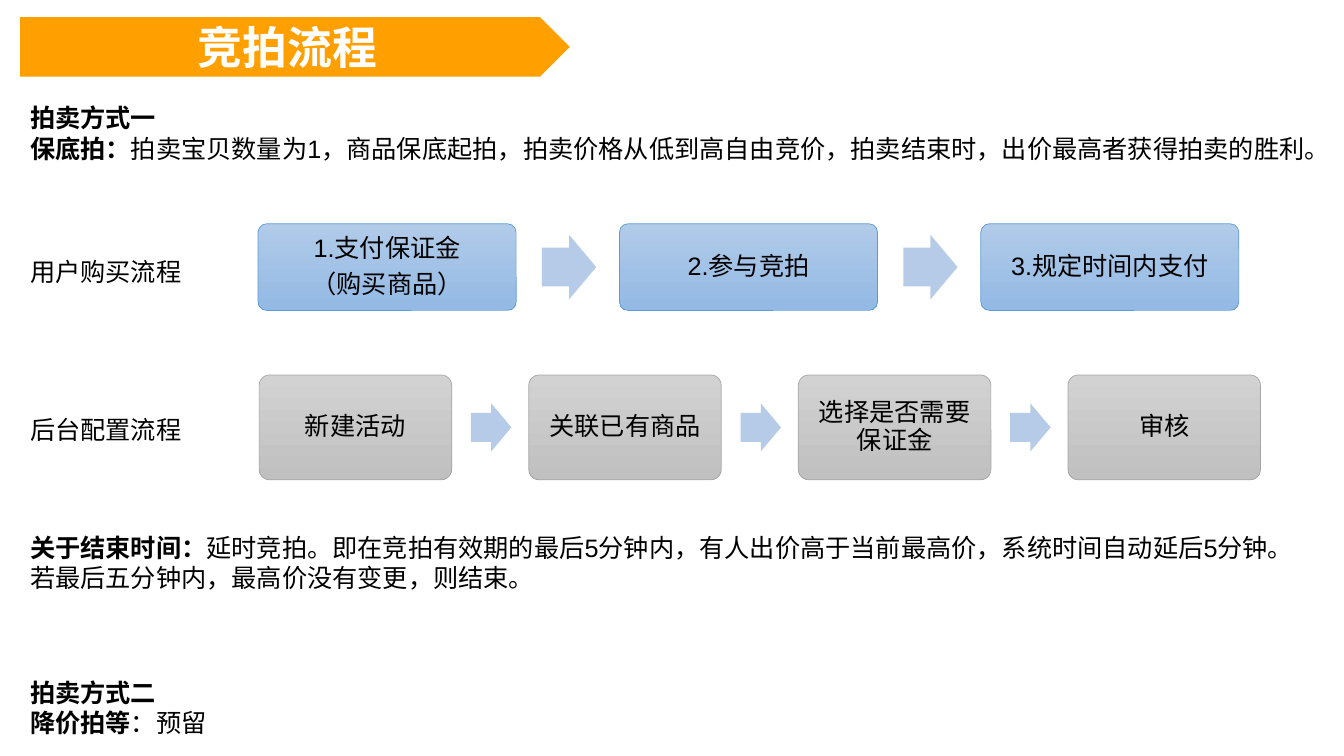
"""Build the auction process slide with two step flows and their rules."""
from pptx import Presentation
from pptx.dml.color import RGBColor
from pptx.enum.shapes import MSO_SHAPE
from pptx.enum.text import MSO_ANCHOR, MSO_AUTO_SIZE, PP_ALIGN
from pptx.util import Inches, Pt

BANNER = "竞拍流程"
LEFT = 0.2
NOTES = [
    {"top": 0.97, "width": 12.98, "height": 0.71, "lines": [
        [("拍卖方式一", True)],
        [("保底拍：", True),
         ("拍卖宝贝数量为1，商品保底起拍，拍卖价格从低到高自由竞价，"
          "拍卖结束时，出价最高者获得拍卖的胜利。", False)]]},
    {"top": 5.23, "width": 12.7, "height": 0.71, "lines": [
        [("关于结束时间：", True),
         ("延时竞拍。即在竞拍有效期的最后5分钟内，有人出价高于当前最高价，"
          "系统时间自动延后5分钟。若最后五分钟内，最高价没有变更，则结束。", False)]]},
    {"top": 6.67, "width": 5.4, "height": 0.71, "lines": [
        [("拍卖方式二", True)],
        [("降价拍等", True), ("：预留", False)]]},
]
FLOWS = [
    {"label": "用户购买流程", "label_top": 2.49,
     "steps": [["1.支付保证金", "（购买商品）"], ["2.参与竞拍"], ["3.规定时间内支付"]],
     "left": 2.56, "top": 2.22, "width": 2.56, "height": 0.86,
     "shades": ("B1CBE9", "93B9E4"), "edge": "5B9BD5", "font": "Arial"},
    {"label": "后台配置流程", "label_top": 4.06,
     "steps": [["新建活动"], ["关联已有商品"], ["选择是否需要保证金"], ["审核"]],
     "left": 2.57, "top": 3.72, "width": 1.91, "height": 1.04,
     "shades": ("D2D2D2", "C0C0C0"), "edge": "A5A5A5", "font": "Calibri"},
]
ARROW_COLOR = "B5CBE7"
PITCH, ARROW_GAP, ARROW_WIDTH, ARROW_HEIGHT = 1.4, 0.1, 0.21, 0.25

BODY = {"size": Pt(18), "name": "Arial"}
HEADLINE = {"size": Pt(32), "name": "Arial"}
CENTERED = {"alignment": PP_ALIGN.CENTER}
STEP_LINE = {"alignment": PP_ALIGN.CENTER, "line_spacing": 0.9, "space_after": Pt(6.3)}
MIDDLE = {"word_wrap": True, "vertical_anchor": MSO_ANCHOR.MIDDLE}
STEP_FRAME = {**MIDDLE, **{f"margin_{side}": Inches(0.07)
                           for side in ("left", "right", "top", "bottom")}}
NOTE_FRAME = {"word_wrap": True, "auto_size": MSO_AUTO_SIZE.SHAPE_TO_FIT_TEXT}
LABEL_FRAME = {**NOTE_FRAME, "word_wrap": False}


def color(hex_code):
    return RGBColor.from_string(hex_code)


def apply(target, formats):
    for attribute, value in formats.items():
        setattr(target, attribute, value)


def write(frame, lines, frame_format, line_format, font_format, ink="000000"):
    apply(frame, frame_format)
    for index, pieces in enumerate(lines):
        line = frame.add_paragraph() if index else frame.paragraphs[0]
        apply(line, line_format)
        for words, bold in pieces:
            run = line.add_run()
            run.text = words
            apply(run.font, {**font_format, "bold": bold})
            run.font.color.rgb = color(ink)


def add_block(slide, preset, box, fill=None):
    block = slide.shapes.add_shape(preset, *map(Inches, box))
    block.shadow.inherit = False
    block.line.fill.background()
    if fill:
        block.fill.solid()
        block.fill.fore_color.rgb = color(fill)
    return block


def add_note(slide, box, lines, frame_format):
    note = slide.shapes.add_textbox(*map(Inches, box))
    write(note.text_frame, lines, frame_format, {}, BODY)


def add_step(slide, flow, left, lines):
    step = add_block(slide, MSO_SHAPE.ROUNDED_RECTANGLE,
                     (left, flow["top"], flow["width"], flow["height"]))
    step.adjustments[0] = 0.1
    step.fill.gradient()
    step.fill.gradient_angle = 270
    for stop, shade in zip(step.fill.gradient_stops, flow["shades"]):
        stop.color.rgb = color(shade)
    step.line.color.rgb = color(flow["edge"])
    step.line.width = Pt(0.5)
    write(step.text_frame, [[(line, False)] for line in lines],
          STEP_FRAME, STEP_LINE, {**BODY, "name": flow["font"]})


def add_flow(slide, flow):
    add_note(slide, (LEFT, flow["label_top"], 1.72, 0.4),
             [[(flow["label"], False)]], LABEL_FRAME)
    width = flow["width"]
    arrow_height = ARROW_HEIGHT * width
    arrow_top = flow["top"] + (flow["height"] - arrow_height) / 2
    for index, lines in enumerate(flow["steps"]):
        left = flow["left"] + index * PITCH * width
        add_step(slide, flow, left, lines)
        if index < len(flow["steps"]) - 1:
            arrow = add_block(slide, MSO_SHAPE.RIGHT_ARROW,
                              (left + (1 + ARROW_GAP) * width, arrow_top,
                               ARROW_WIDTH * width, arrow_height), ARROW_COLOR)
            arrow.adjustments[0] = 0.6


def main():
    deck = Presentation()
    deck.slide_width, deck.slide_height = Inches(13.33), Inches(7.5)
    slide = deck.slides.add_slide(deck.slide_layouts[6])
    banner = add_block(slide, MSO_SHAPE.PENTAGON, (LEFT, 0.17, 5.45, 0.59), "FFA000")
    write(banner.text_frame, [[(BANNER, True)]], MIDDLE, CENTERED, HEADLINE, "FFFFFF")
    for note in NOTES:
        add_note(slide, (LEFT, note["top"], note["width"], note["height"]),
                 note["lines"], NOTE_FRAME)
    for flow in FLOWS:
        add_flow(slide, flow)
    deck.save("out.pptx")


if __name__ == "__main__":
    main()
